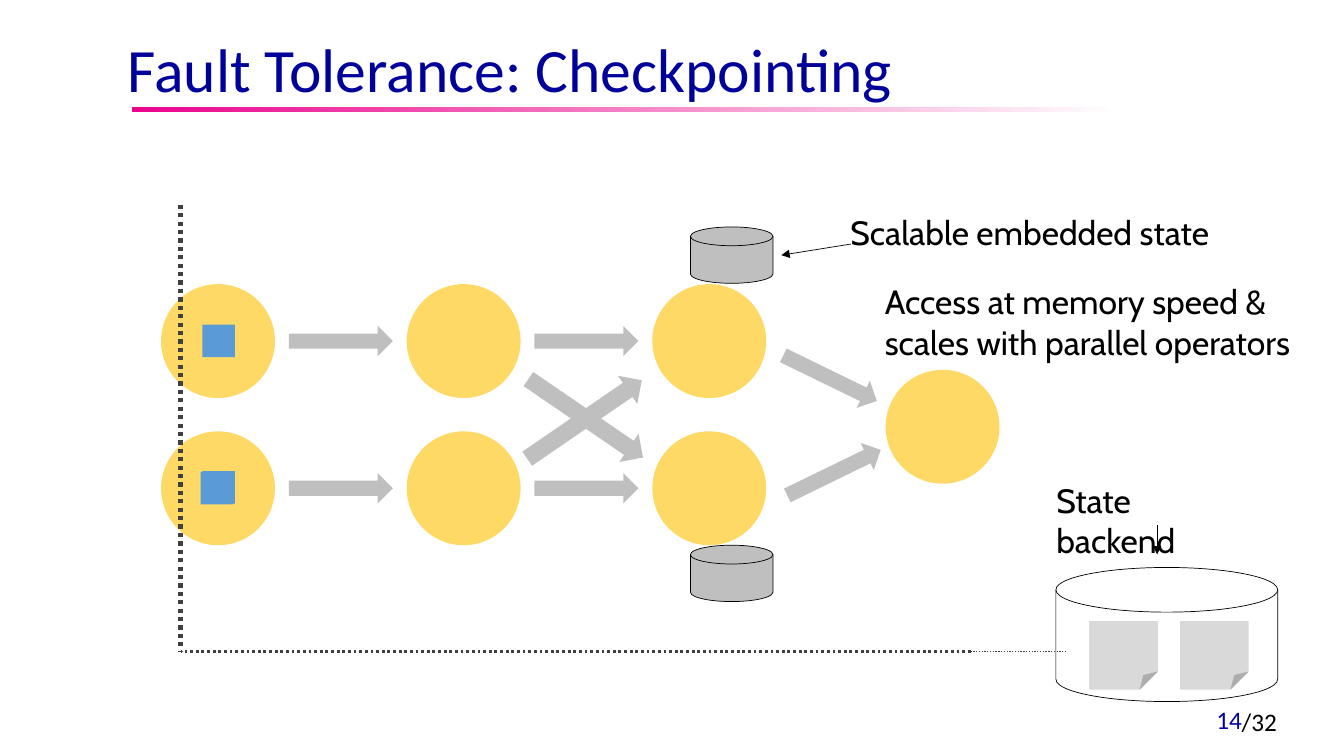
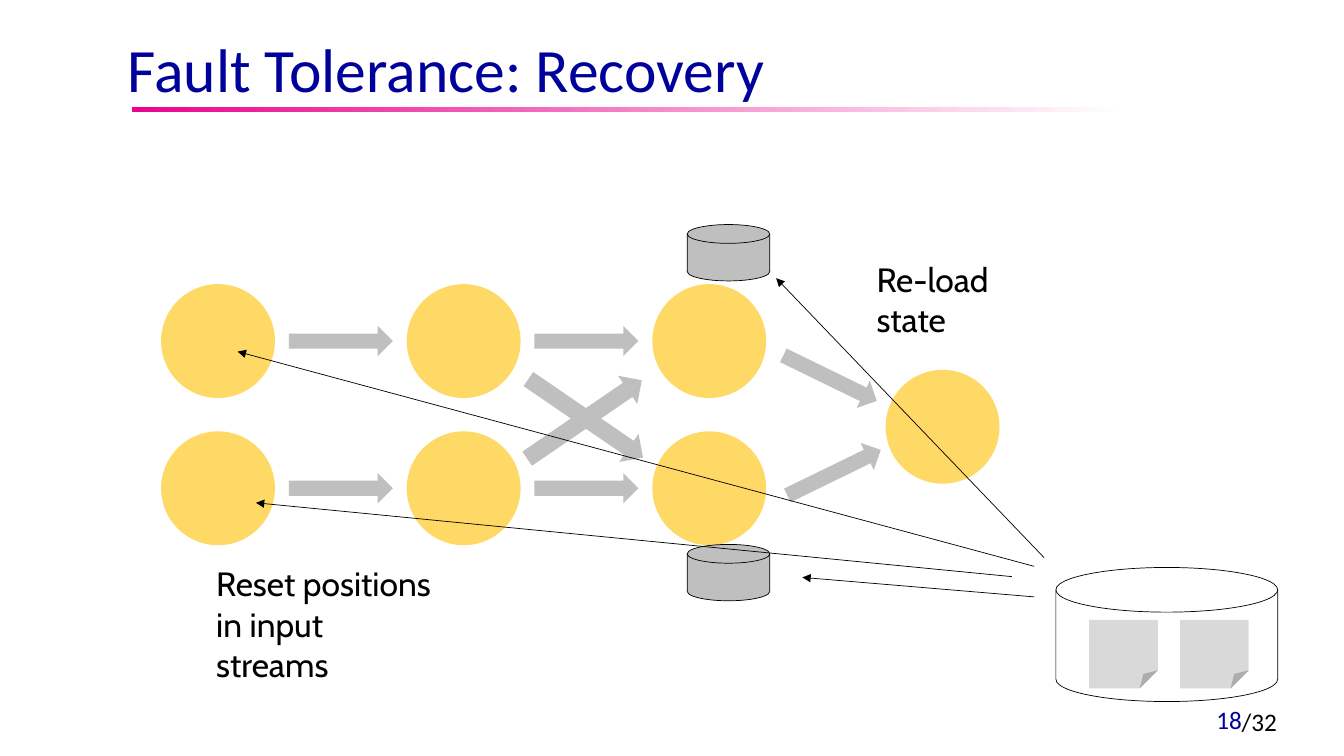
from lxml.etree import SubElement
from pptx import Presentation
from pptx.dml.color import RGBColor
from pptx.enum.dml import MSO_LINE
from pptx.enum.shapes import MSO_CONNECTOR, MSO_SHAPE as Preset
from pptx.enum.text import MSO_ANCHOR as Anchor, PP_ALIGN as Align
from pptx.oxml.ns import qn
from pptx.util import Cm, Pt

NAVY = RGBColor(0x00, 0x00, 0x9A)
PINK = RGBColor(0xEA, 0x04, 0x8D)
WHITE = RGBColor(0xFF, 0xFF, 0xFF)
BLACK = RGBColor(0x00, 0x00, 0x00)
YELLOW = RGBColor(0xFF, 0xD9, 0x66)
BLUE = RGBColor(0x5B, 0x9B, 0xD5)
GREY = RGBColor(0xBF, 0xBF, 0xBF)
PAGE_GREY = RGBColor(0xD9, 0xD9, 0xD9)
DOT_GREY = RGBColor(0x40, 0x40, 0x40)

TITLE_FONT, LABEL_FONT = "Calibri", "Cabin"
TOTAL = "/32"

OPERATOR = 2.87
OPERATOR_LEFT, OPERATOR_PITCH, COLUMNS = 4.06, 6.19, 3
ROW_TOPS = (7.16, 10.87)
SINK = (22.32, 9.32)
STREAM_LEFT, STREAM_SIZE = 7.28, (2.62, 0.76)
CROSS_SIZE = (3.5, 0.86)
SLANTED_STREAMS = [
    ((20.92, 9.53), STREAM_SIZE, 26),
    ((21.02, 11.91), STREAM_SIZE, 334),
    ((14.76, 10.54), CROSS_SIZE, 34.4),
    ((14.73, 10.57), CROSS_SIZE, 325.6),
]
STATE_SIZE = (2.08, 1.42)
BACKEND = (26.61, 14.3, 5.59, 3.38)
SNAPSHOT, SNAPSHOT_LEFTS = 1.73, (27.45, 29.74)
SNAPSHOT_FOLD = "val 26500"
MARKER = 0.82

SLIDES = [
    {
        "title": "Fault Tolerance: Checkpointing",
        "number": "14",
        "markers": [(5.1, 8.18), (5.1, 11.87), (5.06, 11.89)],
        "states": [(17.4, 5.72), (17.4, 13.74)],
        "snapshot_top": 15.65,
        "barrier": [
            ((4.55, 5.16), (4.55, 16.41), 3),
            ((24.46, 16.41), (4.55, 16.41), 2),
            ((26.87, 16.41), (24.46, 16.41), 1),
        ],
        "labels": [
            ("Scalable embedded state", 21.18, 5.21, 9.75),
            ("Access at memory speed &\nscales with parallel operators", 22.05, 6.96, 10.77),
            ("State\nbackend", 26.37, 11.96, 5.56),
        ],
        "pointers": [
            ((21.44, 6.15), (19.69, 6.43)),
            ((29.16, 13.23), (29.16, 13.97)),
        ],
    },
    {
        "title": "Fault Tolerance: Recovery",
        "number": "18",
        "markers": [],
        "states": [(17.32, 5.66), (17.32, 13.72)],
        "snapshot_top": 15.62,
        "barrier": [],
        "labels": [
            ("Re-load\nstate", 21.84, 6.4, 5.26),
            ("Reset positions\nin input\nstreams", 5.2, 14.07, 6.2),
        ],
        "pointers": [
            ((26.06, 15.04), (20.22, 14.55)),
            ((26.31, 14.05), (19.56, 7.01)),
            ((25.5, 14.53), (6.45, 12.67)),
            ((26.06, 14.27), (5.99, 8.86)),
        ],
    },
]


def add_text(slide, text, left, top, width, height, *, size=24, font=LABEL_FONT,
             color=BLACK, align=Align.LEFT, anchor=Anchor.TOP, spacing=1.0, wrap=False):
    box = slide.shapes.add_textbox(Cm(left), Cm(top), Cm(width), Cm(height))
    frame = box.text_frame
    frame.word_wrap = wrap
    frame.vertical_anchor = anchor
    frame.text = text
    for paragraph in frame.paragraphs:
        paragraph.alignment = align
        paragraph.line_spacing = spacing
        for run in paragraph.runs:
            run.font.size = Pt(size)
            run.font.name = font
            run.font.color.rgb = color


def add_figure(slide, preset, left, top, width, height, fill, outlined=False, rotation=0):
    figure = slide.shapes.add_shape(preset, Cm(left), Cm(top), Cm(width), Cm(height))
    figure.shadow.inherit = False
    figure.rotation = rotation
    figure.fill.solid()
    figure.fill.fore_color.rgb = fill
    if outlined:
        figure.line.color.rgb = BLACK
        figure.line.width = Pt(0.5)
    else:
        figure.line.fill.background()
    return figure


def add_line(slide, start, end, color=BLACK, weight=0.5, dotted=False, arrow=False):
    points = [Cm(value) for value in (*start, *end)]
    line = slide.shapes.add_connector(MSO_CONNECTOR.STRAIGHT, *points)
    line.line.color.rgb = color
    line.line.width = Pt(weight)
    if dotted:
        line.line.dash_style = MSO_LINE.ROUND_DOT
    properties = line._element.spPr
    if arrow:
        SubElement(properties.find(qn("a:ln")), qn("a:tailEnd"), type="triangle")
    SubElement(properties, qn("a:effectLst"))


def add_frame(slide, title, number):
    band = add_figure(slide, Preset.RECTANGLE, 3.33, 2.69, 27.4, 0.13, PINK)
    band.fill.gradient()
    band.fill.gradient_angle = 0
    for stop, color, position in zip(band.fill.gradient_stops, (PINK, WHITE), (0, 0.91)):
        stop.color.rgb = color
        stop.position = position
    add_text(slide, TOTAL, 31.04, 17.68, 2.01, 1.02, size=18, font=TITLE_FONT)
    add_text(slide, title, 2.97, 0, 29.21, 3.68, size=44, font=TITLE_FONT, color=NAVY,
             anchor=Anchor.MIDDLE, spacing=0.9, wrap=True)
    add_text(slide, number, 23.93, 17.63, 7.62, 1.02, size=18, font=TITLE_FONT, color=NAVY,
             align=Align.RIGHT, anchor=Anchor.MIDDLE, wrap=True)


def add_dataflow(slide):
    length, thickness = STREAM_SIZE
    for top in ROW_TOPS:
        for column in range(COLUMNS):
            shift = column * OPERATOR_PITCH
            add_figure(slide, Preset.OVAL, OPERATOR_LEFT + shift, top, OPERATOR, OPERATOR, YELLOW)
            if column < COLUMNS - 1:
                add_figure(slide, Preset.RIGHT_ARROW, STREAM_LEFT + shift,
                           top + (OPERATOR - thickness) / 2, length, thickness, GREY)
    add_figure(slide, Preset.OVAL, *SINK, OPERATOR, OPERATOR, YELLOW)
    for (x, y), (width, height), angle in SLANTED_STREAMS:
        add_figure(slide, Preset.RIGHT_ARROW, x - width / 2, y - height / 2,
                   width, height, GREY, rotation=angle)


def add_storage(slide, states, snapshot_top):
    for left, top in states:
        add_figure(slide, Preset.FLOWCHART_MAGNETIC_DISK, left, top, *STATE_SIZE, GREY, outlined=True)
    add_figure(slide, Preset.FLOWCHART_MAGNETIC_DISK, *BACKEND, WHITE, outlined=True)
    for left in SNAPSHOT_LEFTS:
        snapshot = add_figure(slide, Preset.FOLDED_CORNER, left, snapshot_top,
                              SNAPSHOT, SNAPSHOT, PAGE_GREY)
        geometry = snapshot._element.spPr.find(qn("a:prstGeom"))
        for guides in geometry.findall(qn("a:avLst")):
            geometry.remove(guides)
        guides = SubElement(geometry, qn("a:avLst"))
        SubElement(guides, qn("a:gd"), name="adj", fmla=SNAPSHOT_FOLD)


def main():
    deck = Presentation()
    deck.slide_width, deck.slide_height = Cm(33.87), Cm(19.05)
    for content in SLIDES:
        slide = deck.slides.add_slide(deck.slide_layouts[6])
        add_frame(slide, content["title"], content["number"])
        add_dataflow(slide)
        for left, top in content["markers"]:
            add_figure(slide, Preset.RECTANGLE, left, top, MARKER, MARKER, BLUE)
        add_storage(slide, content["states"], content["snapshot_top"])
        for start, end, weight in content["barrier"]:
            add_line(slide, start, end, color=DOT_GREY, weight=weight, dotted=True)
        for text, left, top, width in content["labels"]:
            add_text(slide, text, left, top, width, 1.27 + 1.04 * text.count("\n"))
        for start, end in content["pointers"]:
            add_line(slide, start, end, arrow=True)
    deck.save("out.pptx")


if __name__ == "__main__":
    main()
